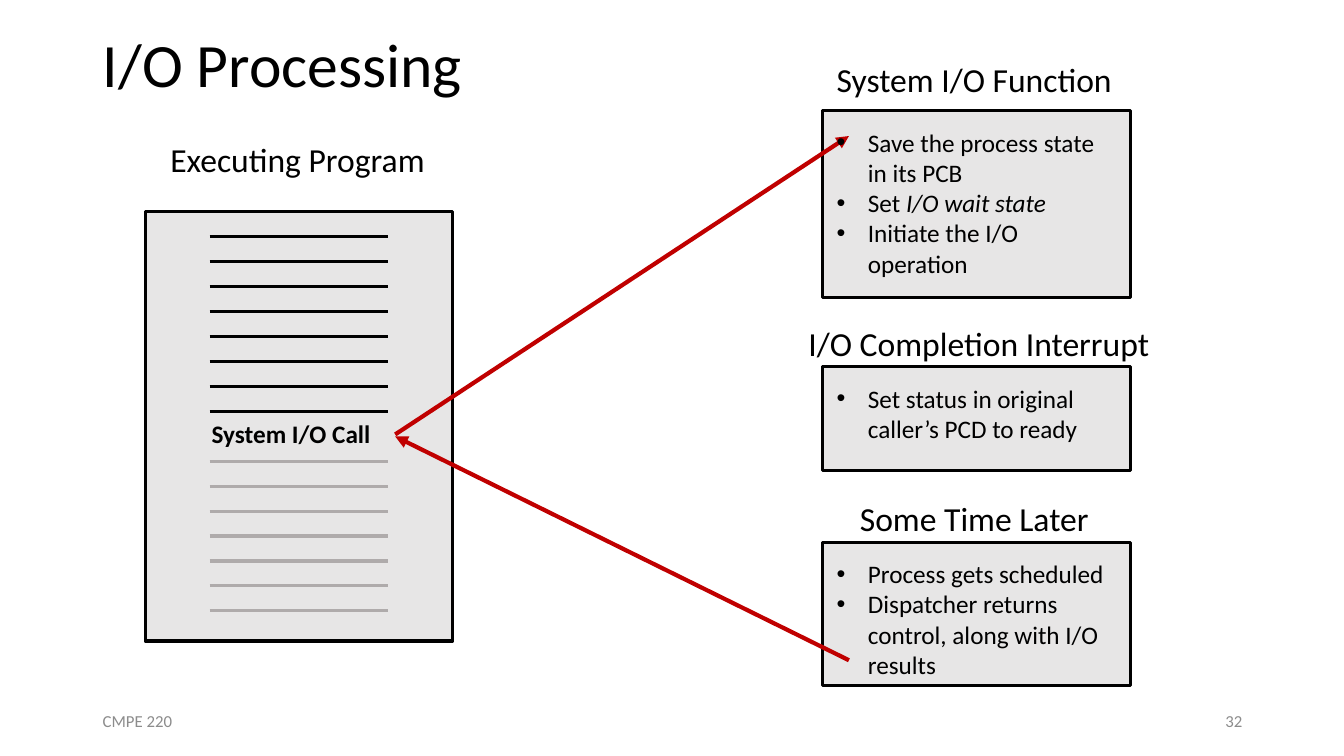
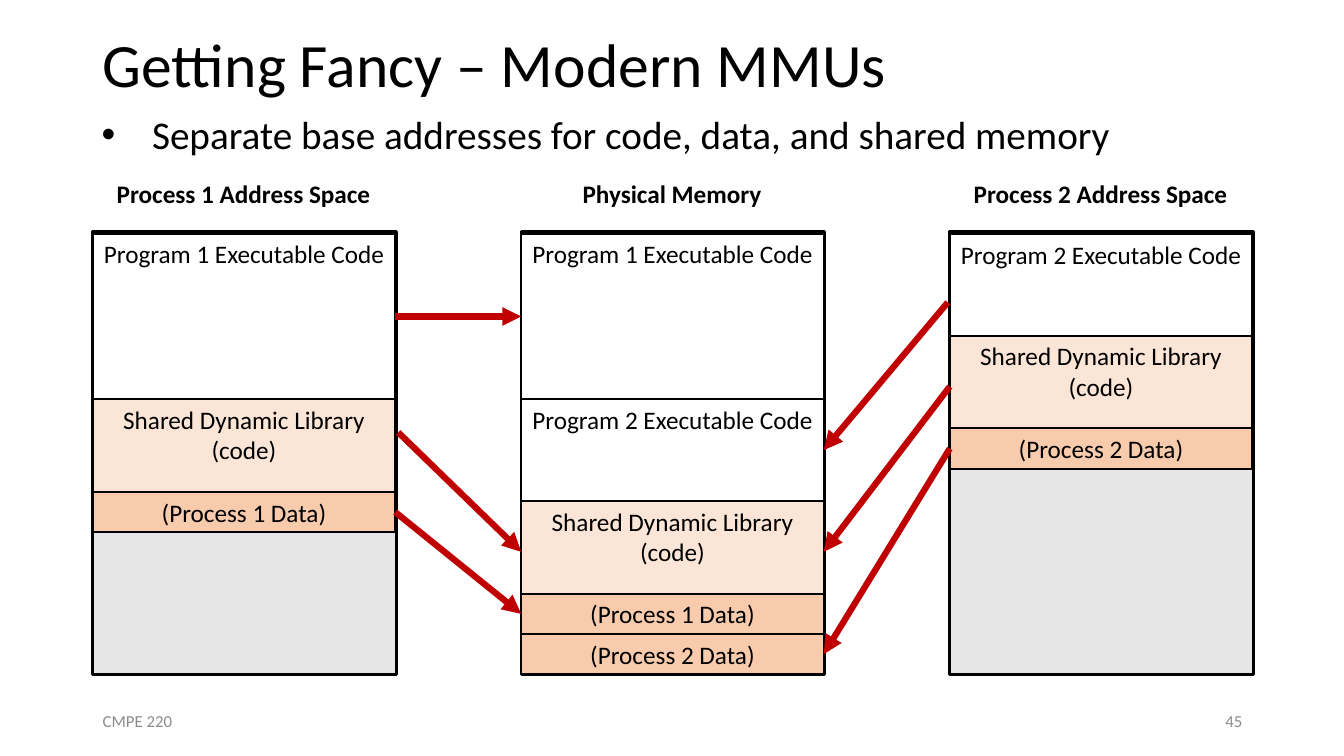
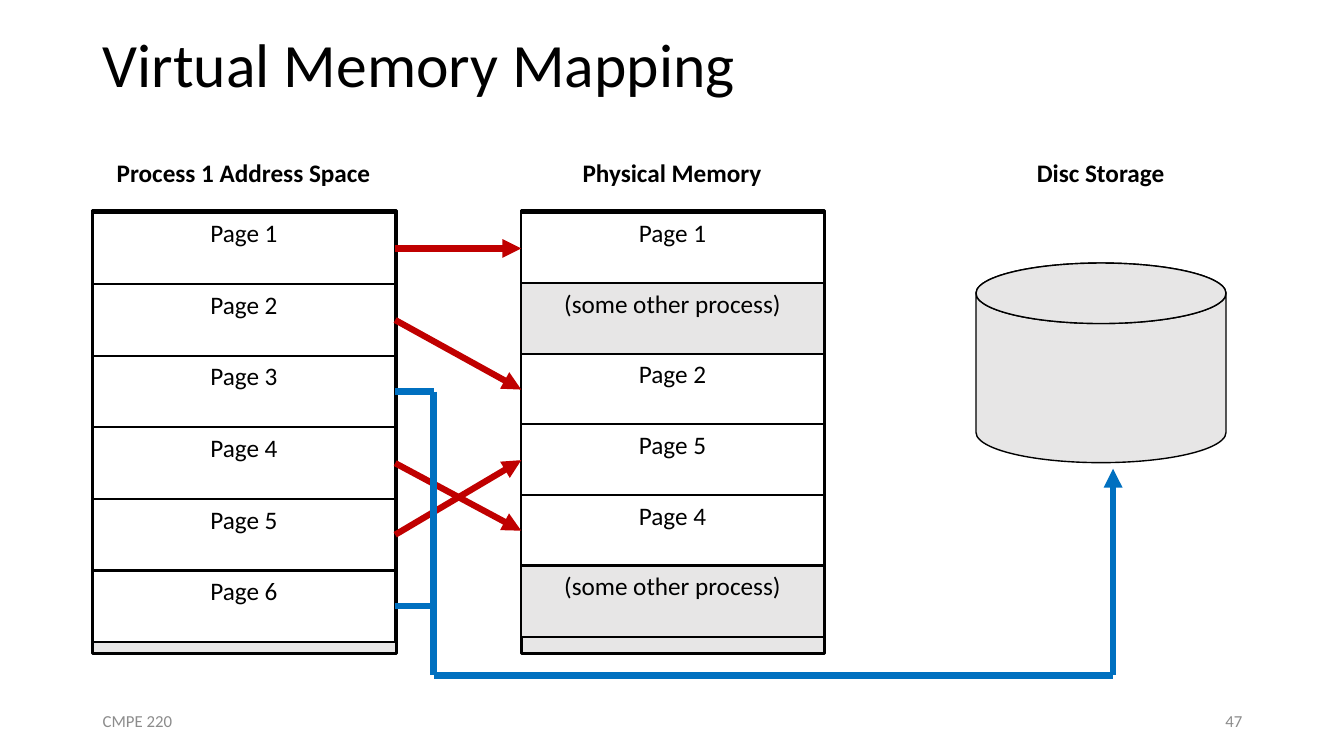
from lxml.etree import SubElement
from pptx import Presentation
from pptx.dml.color import RGBColor
from pptx.enum.shapes import MSO_CONNECTOR as Connector, MSO_SHAPE as Shape
from pptx.enum.text import MSO_ANCHOR as Anchor, MSO_AUTO_SIZE as AutoSize, PP_ALIGN as Align
from pptx.oxml.ns import qn
from pptx.util import Inches, Pt

# Shared style
FONT = "Calibri"
BLACK, WHITE, GREY, MUTED, DIM = "000000", "FFFFFF", "E7E6E6", "8C8C8C", "AFABAB"
RED, BLUE, PEACH, ORANGE = "C00000", "0070C0", "FBE5D6", "F8CBAD"
FOOTER = "CMPE 220"
MARGIN, COLUMN_STEP = 0.92, 4.25
COLUMNS = [MARGIN + COLUMN_STEP * i for i in range(3)]
FRAME_WIDTH, FRAME_HEIGHT, BLOCK_WIDTH = 3.01, 4.39, 3
RIGHT, LEFT = 3, 1

# Slide 1: panel = heading, heading left, heading top, box top, box height, bullets
# (text between asterisks is italic)
PANELS = [
    ("System I/O Function", 8.2, 0.54, 1.1, 1.85,
     ["Save the process state in its PCB", "Set *I/O wait state*", "Initiate the I/O operation"]),
    ("I/O Completion Interrupt", 7.92, 3.15, 3.64, 1.03,
     ["Set status in original caller’s PCD to ready"]),
    ("Some Time Later", 8.43, 4.89, 5.38, 1.42,
     ["Process gets scheduled", "Dispatcher returns control, along with I/O results"]),
]
PANEL_LEFT, PANEL_WIDTH = 8.16, 3.05
CODE_LINES, CALL_LINE = 16, 8
CODE_TOP, CODE_BOTTOM = 2.35, 6.06
CALL_ARROWS = [((3.92, 4.31), (8.42, 1.35)), ((8.42, 6.55), (3.92, 4.33))]

# Slide 2: block kind = fill, height, step to the next block (which may cover its foot)
KINDS = {
    "large": (WHITE, 1.64, 1.64),
    "small": (WHITE, 1.01, 1.01),
    "shared": (PEACH, 1.01, 0.92),
    "data": (ORANGE, 0.4, 0.4),
}
LIBRARY = ("Shared Dynamic Library\n(code)", "shared")
SPACES = [
    ("Process 1 Address Space",
     [("Program 1 Executable Code", "large"), LIBRARY, ("(Process 1 Data)", "data")]),
    ("Physical Memory",
     [("Program 1 Executable Code", "large"), ("Program 2 Executable Code", "small"), LIBRARY,
      ("(Process 1 Data)", "data"), ("(Process 2 Data)", "data")]),
    ("Process 2 Address Space",
     [("Program 2 Executable Code", "small"), LIBRARY, ("(Process 2 Data)", "data")]),
]
# Arrows: start as (column, block) or a point on the frame, then block in physical memory
SPACE_ARROWS = [
    (0, 0, None, 0), (0, 1, (3.95, 4.29), 2), (0, 2, None, 3),
    (2, 0, (9.4, 3), 1), (2, 1, None, 2), (2, 2, None, 4),
]

# Slide 3
OTHER = "(some other process)"
PAGES = [f"Page {number}" for number in range(1, 7)]
FRAMES = ["Page 1", OTHER, "Page 2", "Page 5", "Page 4", OTHER]
DISC_PAGES = ["Page 3", "Page 6"]
PAGE_HEIGHT = 0.71
BUS_X, BUS_Y, DISC_X = 4.3, 6.7, 11.04


def color(value):
    return RGBColor.from_string(value)


def write(shape, text, size=18, bold=False, ink=BLACK, align=Align.LEFT,
          anchor=Anchor.TOP, wrap=True, bullet_indent=0):
    """Fill a shape with one paragraph per line of text."""
    frame = shape.text_frame
    frame.word_wrap, frame.vertical_anchor = wrap, anchor
    for index, line in enumerate(text.split("\n")):
        paragraph = frame.add_paragraph() if index else frame.paragraphs[0]
        paragraph.alignment = align
        if bullet_indent:
            properties = paragraph._p.get_or_add_pPr()
            properties.set("marL", str(Inches(bullet_indent)))
            properties.set("indent", str(-Inches(bullet_indent)))
            SubElement(properties, qn("a:buFont")).set("typeface", "Arial")
            SubElement(properties, qn("a:buChar")).set("char", "•")
        for part, words in enumerate(line.split("*")):
            if not words:
                continue
            run = paragraph.add_run()
            run.text = words
            run.font.name, run.font.size = FONT, Pt(size)
            run.font.bold, run.font.italic = bold, part % 2 == 1
            run.font.color.rgb = color(ink)


def add_text(slide, text, left, top, width, height, grow=True, **style):
    box = slide.shapes.add_textbox(*map(Inches, (left, top, width, height)))
    write(box, text, **style)
    box.text_frame.auto_size = AutoSize.SHAPE_TO_FIT_TEXT if grow else AutoSize.NONE
    return box


def add_box(slide, left, top, width, height, fill=GREY, weight=2.25, text="", kind=Shape.RECTANGLE):
    shape = slide.shapes.add_shape(kind, *map(Inches, (left, top, width, height)))
    shape.shadow.inherit = False
    shape.fill.solid()
    shape.fill.fore_color.rgb = color(fill)
    shape.line.color.rgb = color(BLACK)
    shape.line.width = Pt(weight)
    if text:
        write(shape, text, align=Align.CENTER)
    return shape


def add_line(slide, start, end, ink=RED, weight=4.5, arrow=True):
    """Draw a line; each end is a point or a (shape, side) pair to join."""
    points = [(0, 0) if hasattr(e[0], "shape_id") else e for e in (start, end)]
    line = slide.shapes.add_connector(
        Connector.STRAIGHT, *[Inches(value) for point in points for value in point])
    if hasattr(start[0], "shape_id"):
        line.begin_connect(*start)
    if hasattr(end[0], "shape_id"):
        line.end_connect(*end)
    line.line.color.rgb = color(ink)
    line.line.width = Pt(weight)
    if arrow:
        SubElement(line.line._get_or_add_ln(), qn("a:tailEnd")).set("type", "triangle")
    SubElement(line._element.spPr, qn("a:effectLst"))
    return line


def add_slide(presentation, title, number):
    slide = presentation.slides.add_slide(presentation.slide_layouts[5])
    heading = slide.shapes.title
    heading.left, heading.top, heading.width, heading.height = map(Inches, (MARGIN, 0, 11.5, 1.35))
    write(heading, title, size=44, anchor=Anchor.MIDDLE)
    heading.text_frame.auto_size = AutoSize.NONE
    heading.text_frame.paragraphs[0].line_spacing = 0.9
    for text, left, align in ((FOOTER, MARGIN, Align.LEFT), (str(number), 9.42, Align.RIGHT)):
        add_text(slide, text, left, 6.95, 3, 0.4, grow=False, size=12, ink=MUTED,
                 align=align, anchor=Anchor.MIDDLE)
    return slide


def add_heading(slide, text, left, frame_top):
    add_text(slide, text, left, frame_top - 0.58, 2.99, 0.4, bold=True, align=Align.CENTER)


def add_memory(slide, heading, left, top, blocks):
    """Draw a headed frame and its blocks (text, fill, height, step); return the blocks."""
    add_heading(slide, heading, left, top)
    add_box(slide, left, top, FRAME_WIDTH, FRAME_HEIGHT)
    shapes, block_top = [], top + 0.02
    for text, fill, height, step in blocks:
        shapes.append(add_box(slide, left, block_top, BLOCK_WIDTH, height, fill, 1.5, text))
        block_top += step
    return shapes


def build_io(presentation):
    slide = add_slide(presentation, "I/O Processing", 32)
    # Executing program
    add_box(slide, 1.44, 2.1, PANEL_WIDTH, 4.26)
    add_text(slide, "Executing Program", 1.59, 1.33, 2.75, 0.5, size=24, wrap=False)
    pitch = (CODE_BOTTOM - CODE_TOP) / (CODE_LINES - 1)
    for index in range(CODE_LINES):
        y = CODE_TOP + pitch * index
        if index == CALL_LINE:
            add_text(slide, "System I/O Call", 2, 4.1, 1.79, 0.4, bold=True, wrap=False)
        else:
            add_line(slide, (2.08, y), (3.85, y), BLACK if index < CALL_LINE else DIM, 2.25, False)
    # System panels, with the arrows beneath their text
    for _, _, _, top, height, _ in PANELS:
        add_box(slide, PANEL_LEFT, top, PANEL_WIDTH, height)
    for start, end in CALL_ARROWS:
        add_line(slide, start, end, weight=3)
    for heading, heading_left, heading_top, top, height, bullets in PANELS:
        add_text(slide, heading, heading_left, heading_top, 3, 0.5, size=24, wrap=False) \
            .width = Inches(2 * (PANEL_LEFT + PANEL_WIDTH / 2 + 0.03 - heading_left))
        add_text(slide, "\n".join(bullets), 8.2, top + 0.11, 2.96, height - 0.2, bullet_indent=0.31)


def build_mmu(presentation):
    slide = add_slide(presentation, "Getting Fancy – Modern MMUs", 45)
    add_text(slide, "Separate base addresses for code, data, and shared memory",
             0.91, 1.05, 10.36, 0.57, size=28, wrap=False, bullet_indent=0.5)
    spaces = [
        add_memory(slide, heading, left, 2.3, [(text, *KINDS[kind]) for text, kind in blocks])
        for left, (heading, blocks) in zip(COLUMNS, SPACES)
    ]
    for column, block, point, target in SPACE_ARROWS:
        near, far = (RIGHT, LEFT) if column == 0 else (LEFT, RIGHT)
        add_line(slide, point or (spaces[column][block], near), (spaces[1][target], far))


def build_virtual(presentation):
    slide = add_slide(presentation, "Virtual Memory Mapping", 47)
    top = 2.09
    pages, frames = [
        add_memory(slide, heading, left, top,
                   [(text, GREY if text == OTHER else WHITE, PAGE_HEIGHT, step) for text in texts])
        for heading, left, texts, step in (
            ("Process 1 Address Space", COLUMNS[0], PAGES, 0.71),
            ("Physical Memory", COLUMNS[1], FRAMES, 0.7))
    ]
    for page, text in zip(pages, PAGES):
        if text in FRAMES:
            add_line(slide, (page, RIGHT), (frames[FRAMES.index(text)], LEFT))
    # Disc
    add_heading(slide, "Disc Storage", COLUMNS[2], top)
    left, disc_top, width, height, lid = 9.68, 2.61, 2.48, 1.98, 0.6
    can = add_box(slide, left, disc_top, width, height, weight=1, kind=Shape.CAN)
    can.adjustments[0] = lid / height
    add_box(slide, left, disc_top, width, lid, weight=1, kind=Shape.OVAL)
    # Route from the swapped-out pages to the disc
    swapped = [pages[PAGES.index(text)] for text in DISC_PAGES]
    levels = [(page.top + page.height / 2) / Inches(1) for page in swapped]
    for page, level in zip(swapped, levels):
        add_line(slide, (page, RIGHT), (BUS_X, level), BLUE, arrow=False)
    add_line(slide, (BUS_X, levels[0]), (BUS_X, BUS_Y), BLUE, arrow=False)
    add_line(slide, (BUS_X, BUS_Y), (DISC_X, BUS_Y), BLUE, arrow=False)
    add_line(slide, (DISC_X, BUS_Y), (DISC_X, 4.65), BLUE)


def main():
    presentation = Presentation()
    presentation.slide_width, presentation.slide_height = Inches(13.33), Inches(7.5)
    for build in (build_io, build_mmu, build_virtual):
        build(presentation)
    presentation.save("out.pptx")


if __name__ == "__main__":
    main()
